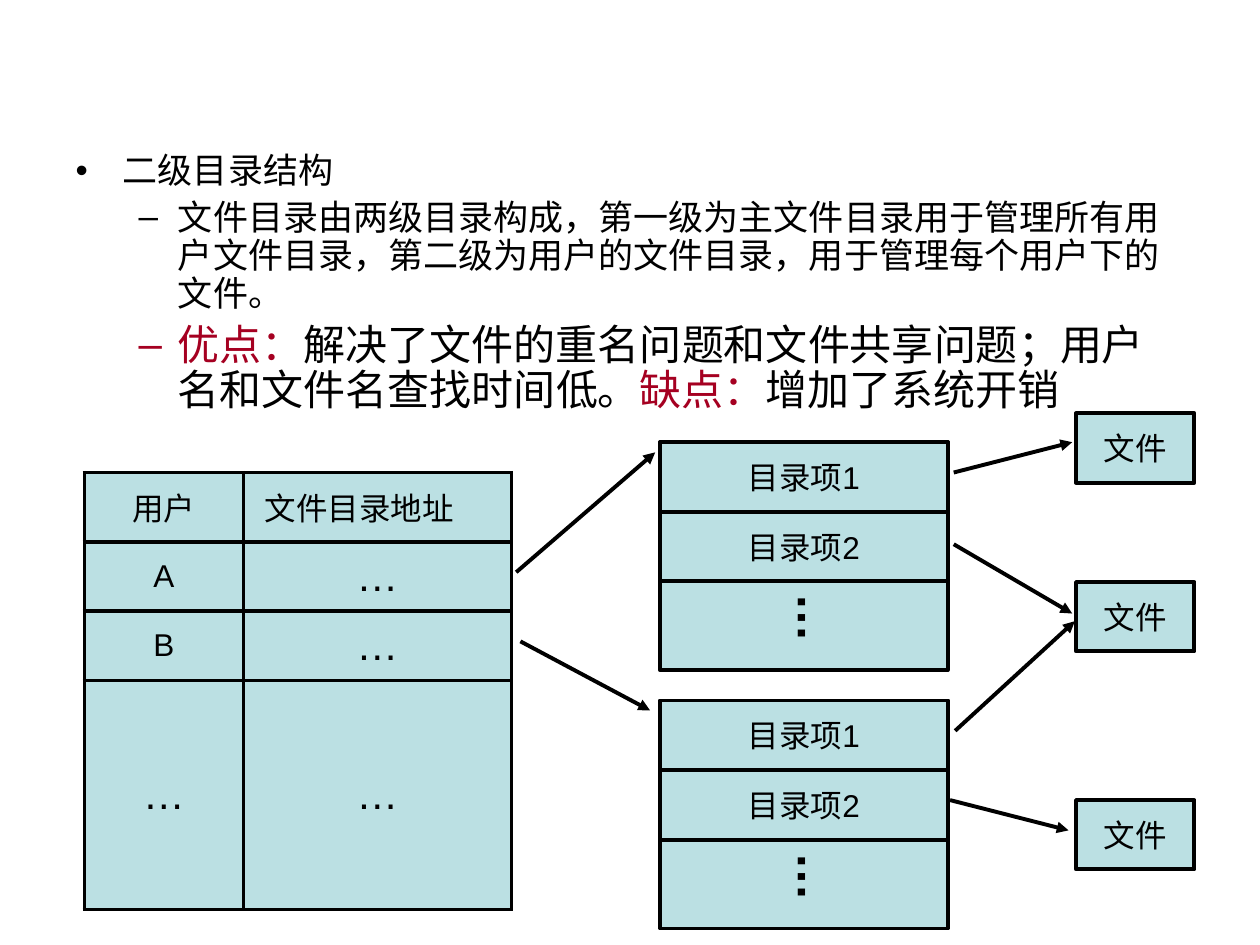
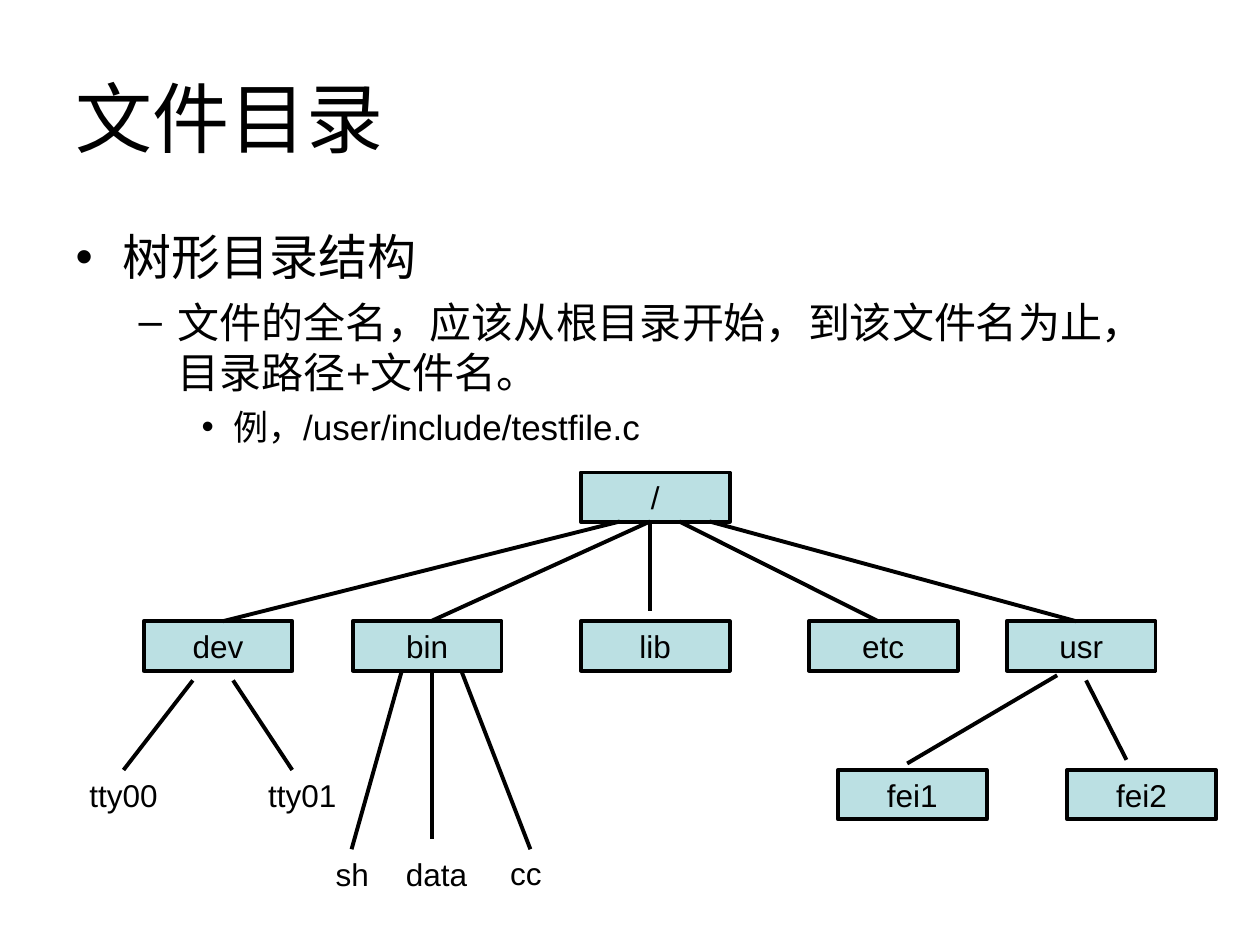
from dataclasses import dataclass

from lxml.etree import SubElement
from pptx import Presentation
from pptx.dml.color import RGBColor
from pptx.enum.shapes import MSO_CONNECTOR as Connector, MSO_SHAPE as Shape
from pptx.enum.text import MSO_ANCHOR as Anchor, MSO_AUTO_SIZE as AutoSize, PP_ALIGN as Align
from pptx.oxml.ns import qn
from pptx.util import Pt


@dataclass(frozen=True)
class Theme:
    ink: RGBColor = RGBColor.from_string("000000")
    accent: RGBColor = RGBColor.from_string("A50021")
    box: RGBColor = RGBColor.from_string("BBE0E3")
    latin: str = "Arial"
    asian: str = "Noto Sans CJK SC"
    title: int = 44
    heading: int = 28
    item: int = 24
    detail: int = 20
    label: int = 18
    line: float = 2.25


theme = Theme()


def style(paragraph, size, align=Align.CENTER, color=theme.ink):
    paragraph.alignment = align
    font = paragraph.font
    font.size = Pt(size)
    font.name = theme.latin
    if color is not None:
        font.color.rgb = color
    defaults = paragraph._p.pPr.find(qn("a:defRPr"))
    SubElement(defaults, qn("a:ea"), typeface=theme.asian)


def add_box(shapes, left, top, width, height, text=""):
    box = shapes.add_shape(Shape.RECTANGLE, Pt(left), Pt(top), Pt(width), Pt(height))
    box.shadow.inherit = False
    box.fill.solid()
    box.fill.fore_color.rgb = theme.box
    box.line.color.rgb = theme.ink
    box.line.width = Pt(theme.line)
    if text:
        frame = box.text_frame
        frame.word_wrap = False
        frame.vertical_anchor = Anchor.MIDDLE
        frame.text = text
        style(frame.paragraphs[0], theme.label)


presentation = Presentation()
presentation.slide_width, presentation.slide_height = Pt(720), Pt(540)
layout = presentation.slide_layouts[1]
two_level_slide = presentation.slides.add_slide(layout)
tree_slide = presentation.slides.add_slide(layout)

title = tree_slide.shapes.title
title.left, title.top, title.width, title.height = Pt(36), Pt(21.6), Pt(648), Pt(90)
title.text_frame.text = "文件目录"
title.text_frame.auto_size = AutoSize.NONE
title.text_frame.vertical_anchor = Anchor.MIDDLE
style(title.text_frame.paragraphs[0], theme.title, Align.LEFT)

unused_title = two_level_slide.shapes.title._element
unused_title.getparent().remove(unused_title)

bodies = [
    (two_level_slide, 84.2, 169.2, 0.9, [
        (0, theme.detail, 0, ["二级目录结构"]),
        (1, theme.detail, 5, ["文件目录由两级目录构成，第一级为主文件目录用于管理所有用户文件目录，"
                              "第二级为用户的文件目录，用于管理每个用户下的文件。"]),
        (1, theme.item, 6, ["优点：", "解决了文件的重名问题和文件共享问题；用户名和文件名查找时间低。",
                            "缺点：", "增加了系统开销"]),
    ]),
    (tree_slide, 126, 138.2, 1, [
        (0, theme.heading, 0, ["树形目录结构"]),
        (1, theme.item, 6, ["文件的全名，应该从根目录开始，到该文件名为止，目录路径+文件名。"]),
        (2, theme.detail, 5, ["例，/user/include/testfile.c"]),
    ]),
]
for slide, top, height, spacing, items in bodies:
    body = slide.placeholders[1]
    body.left, body.top, body.width, body.height = Pt(36), Pt(top), Pt(648), Pt(height)
    frame = body.text_frame
    frame.auto_size = AutoSize.NONE
    for index, (level, size, before, texts) in enumerate(items):
        paragraph = frame.add_paragraph() if index else frame.paragraphs[0]
        paragraph.level = level
        paragraph.line_spacing = spacing
        paragraph.space_before = Pt(before)
        mixed = len(texts) > 1
        if mixed:
            bullet_color = SubElement(paragraph._p.get_or_add_pPr(), qn("a:buClr"))
            SubElement(bullet_color, qn("a:srgbClr"), val=str(theme.accent))
        style(paragraph, size, Align.LEFT, None if mixed else theme.ink)
        for position, text in enumerate(texts):
            run = paragraph.add_run()
            run.text = text
            if mixed:
                run.font.name = theme.asian
                run.font.color.rgb = theme.ink if position % 2 else theme.accent

user_rows = [("用户", "文件目录地址"), ("A", "…"), ("B", "…"), ("…", "…")]
user_frame = two_level_slide.shapes.add_table(4, 2, Pt(48.2), Pt(270), Pt(244), Pt(249.8))
user_table = user_frame.table
user_table.first_row = user_table.horz_banding = False
for column, width in zip(user_table.columns, (91, 153)):
    column.width = Pt(width)
for row, height, texts in zip(user_table.rows, (39.6, 39.6, 39.6, 131), user_rows):
    row.height = Pt(height)
    for cell, text in zip(row.cells, texts):
        cell.text = text
        cell.vertical_anchor = Anchor.MIDDLE
        cell.fill.solid()
        cell.fill.fore_color.rgb = theme.box
        style(cell.text_frame.paragraphs[0], theme.item if text == "…" else theme.label)
        properties = cell._tc.get_or_add_tcPr()
        for index, edge in enumerate(("a:lnL", "a:lnR", "a:lnT", "a:lnB")):
            border = SubElement(properties, qn(edge), w=str(Pt(theme.line)))
            fill = SubElement(border, qn("a:solidFill"))
            SubElement(fill, qn("a:srgbClr"), val=str(theme.ink))
            properties.insert(index, border)
address_heading = user_table.cell(0, 1)
address_heading.margin_left = Pt(12)
address_heading.text_frame.paragraphs[0].alignment = Align.LEFT

for top in (252.7, 400.3):
    directory = two_level_slide.shapes.add_group_shape().shapes
    add_box(directory, 377.3, top, 164.2, 130.3)
    for index in range(2):
        add_box(directory, 377.3, top + 39.8 * index, 164.2, 39.8, f"目录项{index + 1}")
    more = directory.add_textbox(Pt(440), Pt(top + 79.4), Pt(47.5), Pt(51))
    frame = more.text_frame
    frame.word_wrap = True
    frame.margin_left = frame.margin_right = Pt(3.6)
    frame.margin_top = frame.margin_bottom = Pt(7.2)
    frame._txBody.bodyPr.set("vert", "eaVert")
    frame.text = "…"
    style(frame.paragraphs[0], theme.heading)
    frame.paragraphs[0].font.bold = True

for top in (236.2, 332.6, 457.2):
    add_box(two_level_slide.shapes, 614.9, top, 67.7, 39.6, "文件")

folders = [
    ("/", 331.9, 270),
    ("dev", 82.1, 355), ("bin", 201.6, 355), ("lib", 331.9, 355),
    ("etc", 462.2, 355), ("usr", 575.3, 355),
    ("fei1", 478.8, 440), ("fei2", 609.8, 440),
]
for name, left, top in folders:
    add_box(tree_slide.shapes, left, top, 85, 28.2, name)

files = [
    ("tty00", 31, 440, 79.2), ("tty01", 133.2, 440, 79.2),
    ("sh", 178.6, 485.3, 45.4), ("data", 218.2, 485.3, 62.6), ("cc", 275, 484.6, 51.1),
]
for name, left, top, width in files:
    label = tree_slide.shapes.add_textbox(Pt(left), Pt(top), Pt(width), Pt(28.8))
    label.text_frame.word_wrap = True
    label.text_frame.text = name
    style(label.text_frame.paragraphs[0], theme.label)

references = [
    (295, 327, 374.4, 258.5), (297.4, 366.5, 371.5, 406),
    (545, 270, 612.7, 252.7), (545, 311, 612.7, 350.6),
    (545.8, 417.6, 614.2, 355), (542.9, 457.2, 610.6, 474.5),
]
branches = [
    (354.2, 298, 127.4, 355), (371.5, 298, 246.2, 355), (371.5, 298, 371.5, 349.2),
    (388.1, 298, 501.8, 355), (405.4, 298, 614.9, 355),
    (110.2, 388.8, 70.6, 440), (133.2, 388.8, 167, 440),
    (229.7, 383, 200.9, 485.3), (247, 383, 247, 479.5), (263.5, 383, 303.1, 485.3),
    (604.1, 385.9, 518.4, 436.3), (620.6, 388.8, 643.7, 434.2),
]
for slide, segments, arrow in ((two_level_slide, references, True), (tree_slide, branches, False)):
    for segment in segments:
        connector = slide.shapes.add_connector(Connector.STRAIGHT, *map(Pt, segment))
        connector.line.color.rgb = theme.ink
        connector.line.width = Pt(theme.line)
        shape_properties = connector._element.spPr
        if arrow:
            SubElement(shape_properties.find(qn("a:ln")), qn("a:tailEnd"), type="triangle")
        SubElement(shape_properties, qn("a:effectLst"))

presentation.save("out.pptx")
